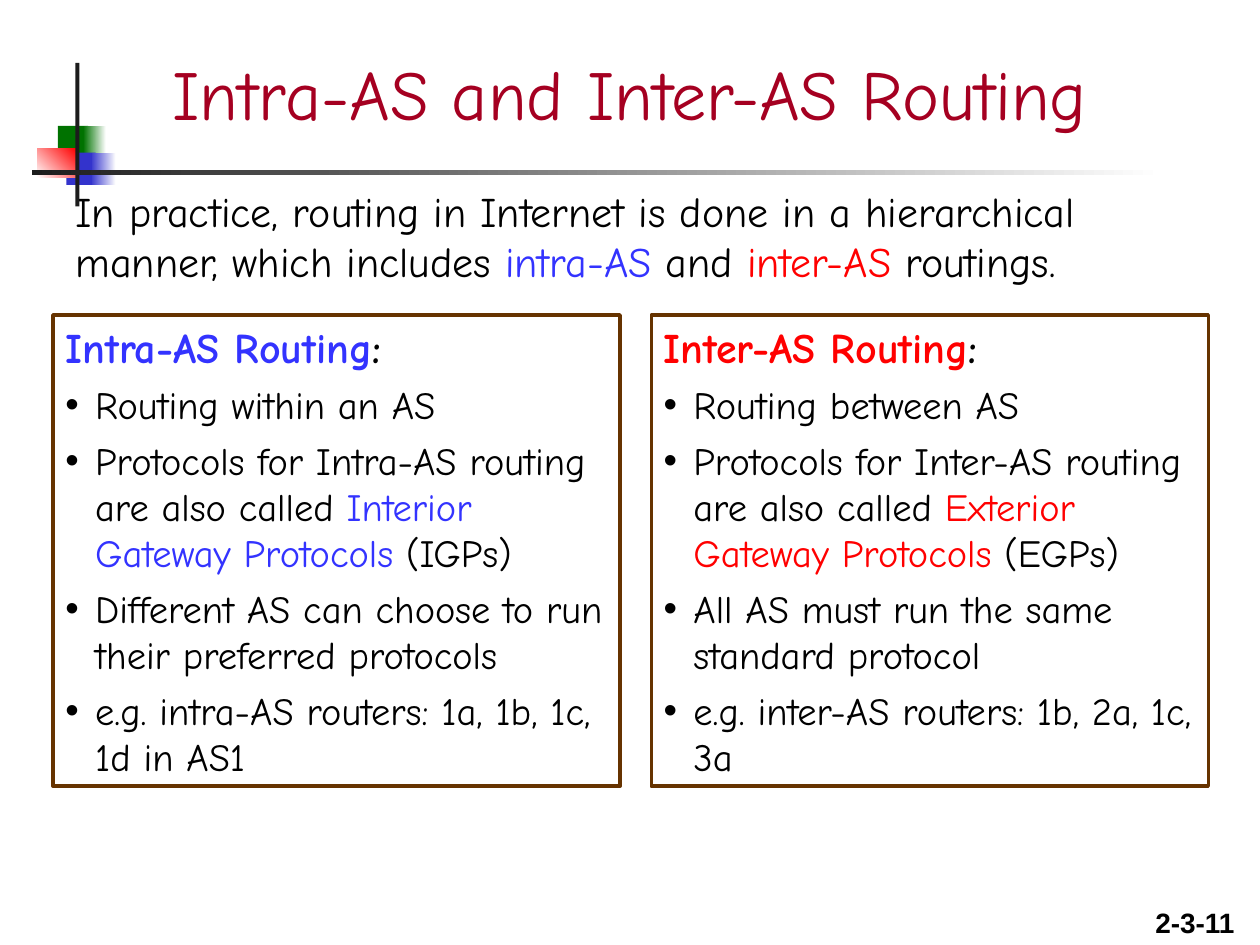
from dataclasses import dataclass
from typing import Optional

from lxml import etree
from pptx import Presentation
from pptx import util as u
from pptx.dml.color import RGBColor
from pptx.enum import shapes, text
from pptx.oxml import ns


@dataclass(frozen=True)
class Theme:
    heading: str = "A50021"
    body: str = "000000"
    intra: str = "3333FF"
    inter: str = "FF0000"
    border: str = "663300"
    green: str = "007200"
    blue: str = "3333CC"
    red: str = "FF0000"
    rule: str = "1C1C1C"
    white: str = "FFFFFF"
    font: str = "Comic Neue"
    number_font: str = "Arial"
    title_size: int = 40
    lead_size: int = 24
    bullet_size: int = 22
    number_size: int = 16


@dataclass(frozen=True)
class Box:
    left: float
    top: float
    width: float
    height: float

    def lengths(self) -> tuple:
        return u.Cm(self.left), u.Cm(self.top), u.Cm(self.width), u.Cm(self.height)


@dataclass(frozen=True)
class Span:
    words: str
    color: str


@dataclass(frozen=True)
class Panel:
    box: Box
    color: str
    heading: str
    bullets: list


@dataclass(frozen=True)
class Block:
    box: Box
    start: str
    end: Optional[str] = None
    angle: int = 180


THEME = Theme()


def plain(words: str) -> Span:
    return Span(words, THEME.body)


def write_spans(paragraph, spans: list, size: int, font: str = THEME.font, bold: bool = False) -> None:
    for span in spans:
        run = paragraph.add_run()
        run.text = span.words
        run.font.name = font
        run.font.size = u.Pt(size)
        run.font.bold = bold
        run.font.color.rgb = RGBColor.from_string(span.color)


def add_bullet(paragraph) -> None:
    properties = paragraph._p.get_or_add_pPr()
    indent = u.Cm(0.6)
    properties.set("marL", str(indent))
    properties.set("indent", str(-indent))
    etree.SubElement(properties, ns.qn("a:buFont")).set("typeface", "Arial")
    etree.SubElement(properties, ns.qn("a:buChar")).set("char", "•")


def add_text(slide, box: Box, spans: list, size: int, **style):
    frame = slide.shapes.add_textbox(*box.lengths()).text_frame
    frame.word_wrap = True
    write_spans(frame.paragraphs[0], spans, size, **style)
    return frame


def add_panel(slide, panel: Panel) -> None:
    shape = slide.shapes.add_shape(shapes.MSO_SHAPE.RECTANGLE, *panel.box.lengths())
    shape.shadow.inherit = False
    shape.fill.background()
    shape.line.color.rgb = RGBColor.from_string(THEME.border)
    shape.line.width = u.Pt(2)
    frame = shape.text_frame
    frame.word_wrap = True
    frame.vertical_anchor = text.MSO_ANCHOR.TOP
    heading = frame.paragraphs[0]
    heading.alignment = text.PP_ALIGN.LEFT
    write_spans(heading, [Span(panel.heading, panel.color), plain(":")], THEME.lead_size, bold=True)
    for spans in panel.bullets:
        paragraph = frame.add_paragraph()
        paragraph.alignment = text.PP_ALIGN.LEFT
        paragraph.space_before = u.Pt(5.5)
        add_bullet(paragraph)
        write_spans(paragraph, spans, THEME.bullet_size)


def add_block(group, block: Block) -> None:
    shape = group.shapes.add_shape(shapes.MSO_SHAPE.RECTANGLE, *block.box.lengths())
    shape.shadow.inherit = False
    shape.line.fill.background()
    if block.end is None:
        shape.fill.solid()
        shape.fill.fore_color.rgb = RGBColor.from_string(block.start)
        return
    shape.fill.gradient()
    shape.fill.gradient_angle = block.angle
    for stop, color in zip(shape.fill.gradient_stops, (block.start, block.end)):
        stop.color.rgb = RGBColor.from_string(color)


PANELS = [
    Panel(Box(13.13, 6.35, 11.23, 9.5), THEME.inter, "Inter-AS Routing", [
        [plain("Routing between AS")],
        [plain("Protocols for Inter-AS routing are also called "),
         Span("Exterior Gateway Protocols ", THEME.inter), plain("(EGPs)")],
        [plain("All AS must run the same standard protocol")],
        [plain("e.g. inter-AS routers: 1b, 2a, 1c, 3a")],
    ]),
    Panel(Box(1.07, 6.35, 11.43, 9.5), THEME.intra, "Intra-AS Routing", [
        [plain("Routing within an AS")],
        [plain("Protocols for Intra-AS routing are also called "),
         Span("Interior Gateway Protocols ", THEME.intra), plain("(IGPs)")],
        [plain("Different AS can choose to run their preferred protocols")],
        [plain("e.g. intra-AS routers: 1a, 1b, 1c, 1d in AS1")],
    ]),
]

INTRO = [
    plain("In practice, routing in Internet is done in a hierarchical manner, which includes "),
    Span("intra-AS", THEME.intra),
    plain(" and "),
    Span("inter-AS", THEME.inter),
    plain(" routings."),
]

ORNAMENT = [
    Block(Box(1.17, 2.54, 0.61, 0.65), THEME.green),
    Block(Box(1.68, 2.54, 0.46, 0.65), THEME.white, THEME.green),
    Block(Box(1.34, 3.08, 0.59, 0.65), THEME.blue),
    Block(Box(1.83, 3.08, 0.51, 0.65), THEME.white, THEME.blue),
    Block(Box(0.75, 2.99, 0.79, 0.59), THEME.red, THEME.white, 225),
    Block(Box(1.52, 1.27, 0.08, 2.89), THEME.rule),
    Block(Box(0.64, 3.43, 22.81, 0.09), THEME.white, THEME.rule),
]


def main() -> None:
    presentation = Presentation()
    presentation.slide_width = u.Cm(25.4)
    presentation.slide_height = u.Cm(19.05)
    slide = presentation.slides.add_slide(presentation.slide_layouts[6])

    add_text(slide, Box(23.04, 18.14, 2.36, 0.91), [plain("2-3-11")],
             THEME.number_size, font=THEME.number_font, bold=True)
    title = add_text(slide, Box(1.27, 0.76, 22.86, 2.21),
                     [Span("Intra-AS and Inter-AS Routing", THEME.heading)], THEME.title_size)
    title.vertical_anchor = text.MSO_ANCHOR.MIDDLE
    title.paragraphs[0].alignment = text.PP_ALIGN.CENTER
    for panel in PANELS:
        add_panel(slide, panel)
    add_text(slide, Box(1.27, 3.61, 22.86, 2.29), INTRO, THEME.lead_size)
    group = slide.shapes.add_group_shape()
    for block in ORNAMENT:
        add_block(group, block)

    presentation.save("out.pptx")


if __name__ == "__main__":
    main()
